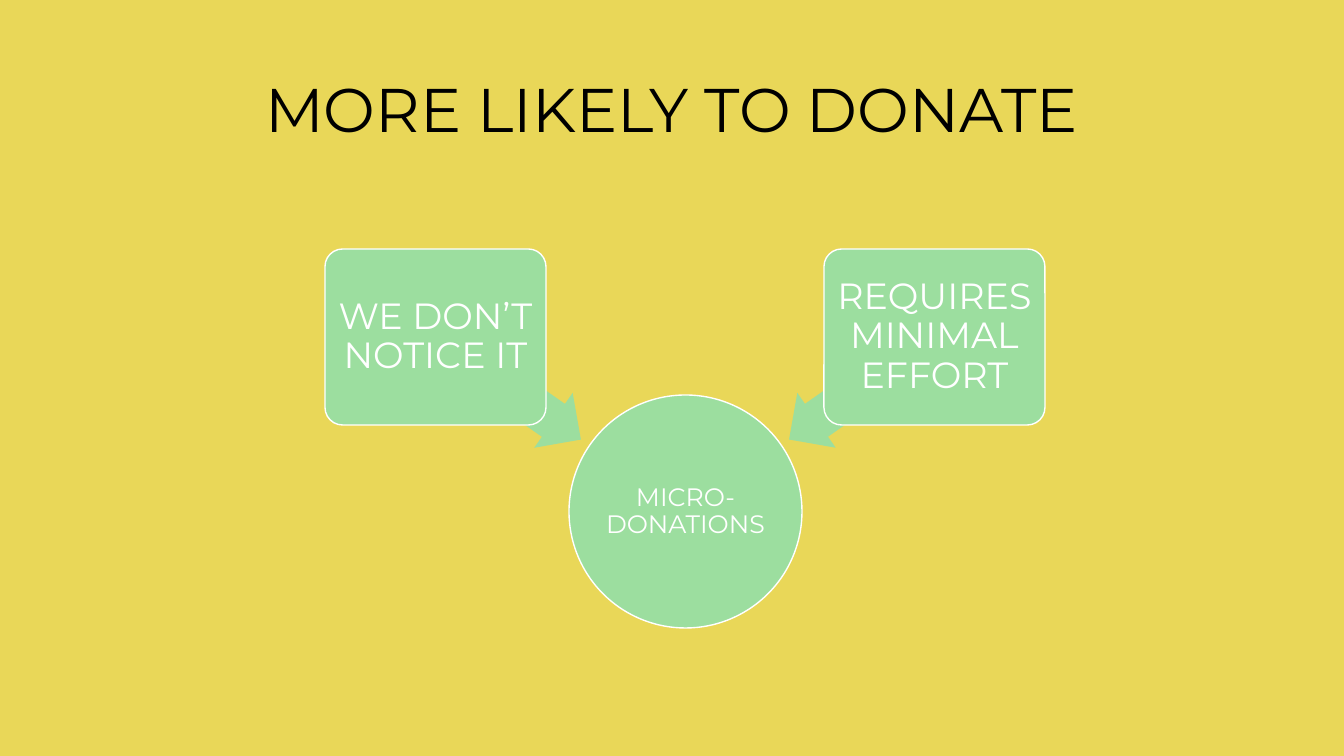
"""Build the slide on why people are more likely to donate."""
from dataclasses import dataclass

from pptx import Presentation
from pptx import util as u
from pptx.dml.color import RGBColor
from pptx.enum import shapes, text
from pptx.shapes.autoshape import Shape
from pptx.slide import Slide
from pptx.text.text import TextFrame

WIDTH, HEIGHT = 1344, 756
SCALE = u.Inches(7.5) / HEIGHT
AXIS = 685


@dataclass(frozen=True)
class Theme:
    font: str = "Montserrat"
    back: RGBColor = RGBColor(0xE9, 0xD7, 0x58)
    mint: RGBColor = RGBColor(0x9C, 0xDE, 0x9F)
    white: RGBColor = RGBColor(0xFF, 0xFF, 0xFF)
    black: RGBColor = RGBColor(0, 0, 0)
    title: int = 44
    reason: int = 26
    hub: int = 18


@dataclass(frozen=True)
class Box:
    left: int
    top: int
    width: int
    height: int

    def flip(self) -> "Box":
        left = 2 * AXIS - self.left - self.width
        return Box(left, self.top, self.width, self.height)

    def emu(self) -> list[u.Emu]:
        return [px(n) for n in (self.left, self.top, self.width, self.height)]


@dataclass(frozen=True)
class Reason:
    label: str
    card: Box
    arrow: Box
    turn: int


THEME = Theme()
KIND = shapes.MSO_SHAPE
TITLE = Box(92, 40, 1160, 146)
HUB = Box(569, 395, 233, 233)
CARD = Box(325, 249, 221, 176)
ARROW = Box(419, 355, 178, 67)
REASONS = [
    Reason("WE DON’T NOTICE IT", CARD, ARROW, 215),
    Reason("REQUIRES MINIMAL EFFORT", CARD.flip(), ARROW.flip(), 325),
]


def px(count: int) -> u.Emu:
    return u.Emu(round(count * SCALE))


def write(frame: TextFrame, label: str, size: int, color: RGBColor) -> None:
    frame.text = label
    frame.word_wrap = True
    frame.auto_size = text.MSO_AUTO_SIZE.NONE
    frame.vertical_anchor = text.MSO_ANCHOR.MIDDLE
    para = frame.paragraphs[0]
    para.alignment = text.PP_ALIGN.CENTER
    para.line_spacing = 0.9
    para.font.name = THEME.font
    para.font.size = u.Pt(size)
    para.font.color.rgb = color


def draw(slide: Slide, kind: shapes.MSO_SHAPE, box: Box) -> Shape:
    shape = slide.shapes.add_shape(kind, *box.emu())
    shape.shadow.inherit = False
    shape.fill.solid()
    shape.fill.fore_color.rgb = THEME.mint
    shape.line.fill.background()
    return shape


def label(shape: Shape, words: str, size: int, inset: int) -> None:
    shape.line.color.rgb = THEME.white
    shape.line.width = u.Pt(1)
    frame = shape.text_frame
    frame.margin_left = frame.margin_right = px(inset)
    frame.margin_top = frame.margin_bottom = px(inset)
    write(frame, words, size, THEME.white)


def point(slide: Slide, reason: Reason) -> None:
    arrow = draw(slide, KIND.LEFT_ARROW, reason.arrow)
    arrow.adjustments[0] = 0.6
    arrow.adjustments[1] = 0.5
    arrow.rotation = reason.turn
    card = draw(slide, KIND.ROUNDED_RECTANGLE, reason.card)
    card.adjustments[0] = 0.1
    label(card, reason.label, THEME.reason, 5)


def main() -> None:
    deck = Presentation()
    deck.slide_width, deck.slide_height = px(WIDTH), px(HEIGHT)
    slide = deck.slides.add_slide(deck.slide_layouts[5])
    slide.background.fill.solid()
    slide.background.fill.fore_color.rgb = THEME.back

    title = slide.shapes.title
    title.left, title.top, title.width, title.height = TITLE.emu()
    write(title.text_frame, "MORE LIKELY TO DONATE", THEME.title, THEME.black)

    hub = draw(slide, KIND.OVAL, HUB)
    label(hub, "MICRO-DONATIONS", THEME.hub, 1)
    for reason in REASONS:
        point(slide, reason)
    deck.save("out.pptx")


if __name__ == "__main__":
    main()
